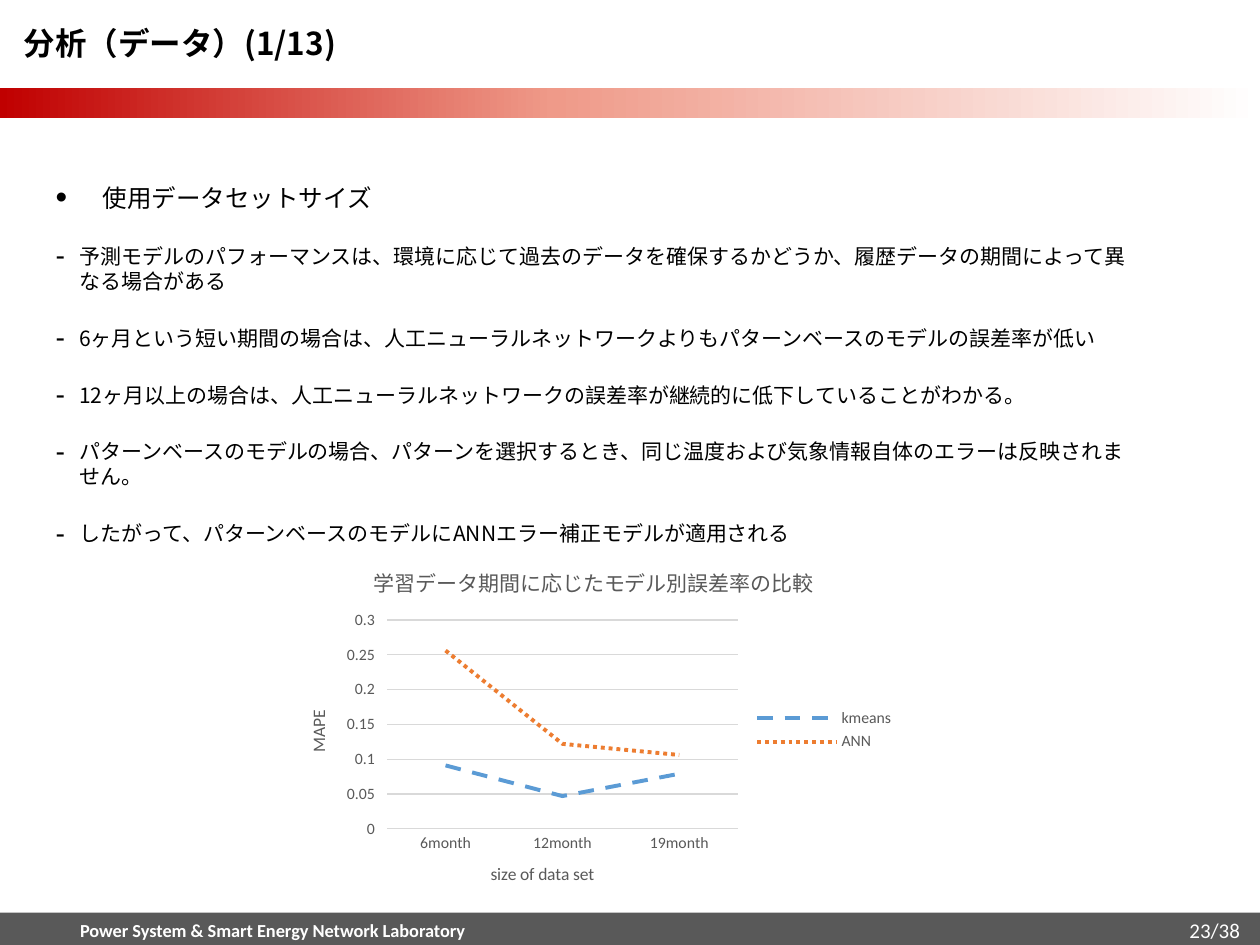
from copy import deepcopy
from dataclasses import dataclass

from pptx import Presentation
from pptx import util as u
from pptx.chart.data import CategoryChartData
from pptx.dml.color import RGBColor
from pptx.enum import chart as ch
from pptx.enum import dml, shapes, text
from pptx.oxml import parse_xml
from pptx.oxml.ns import nsdecls, qn


@dataclass(frozen=True)
class Theme:
    latin: str = "Calibri"
    cjk: str = "Noto Sans CJK KR"
    black: str = "000000"
    white: str = "FFFFFF"
    footer: str = "595959"
    chart_text: str = "595959"
    grid: str = "D9D9D9"
    band: tuple = ((0, "C00000"), (0.44, "EF9A89"), (1, "FFFFFF"))
    title: float = 18
    heading: float = 14
    body: float = 12
    lab: float = 10.5
    axis_title: float = 10
    axis: float = 9


@dataclass(frozen=True)
class Box:
    left: float
    top: float
    width: float
    height: float

    def lengths(self) -> tuple:
        return tuple(u.Cm(n) for n in (self.left, self.top, self.width, self.height))


@dataclass(frozen=True)
class Bullet:
    words: str
    mark: str = "-"
    indent: float = 0.48
    size: float = Theme.body
    font: str = Theme.cjk


@dataclass(frozen=True)
class Line:
    name: str
    values: tuple
    color: str
    dash: dml.MSO_LINE


THEME = Theme()
BULLETS = (
    Bullet("使用データセットサイズ\u3000".rstrip(), "•", 0.95, THEME.heading, THEME.latin),
    Bullet("予測モデルのパフォーマンスは、環境に応じて過去のデータを確保するかどうか、履歴データの期間によって異なる場合がある"),
    Bullet("6ヶ月という短い期間の場合は、人工ニューラルネットワークよりもパターンベースのモデルの誤差率が低い"),
    Bullet("12ヶ月以上の場合は、人工ニューラルネットワークの誤差率が継続的に低下していることがわかる。"),
    Bullet("パターンベースのモデルの場合、パターンを選択するとき、同じ温度および気象情報自体のエラーは反映されません。"),
    Bullet("したがって、パターンベースのモデルにANNエラー補正モデルが適用される"),
)
MONTHS = ("6month", "12month", "19month")
LINES = (
    Line("kmeans", (0.091, 0.047, 0.079), "5B9BD5", dml.MSO_LINE.DASH),
    Line("ANN", (0.256, 0.122, 0.106), "ED7D31", dml.MSO_LINE.ROUND_DOT),
)


def set_font(font, size: float, color: str, name: str = THEME.latin, bold: bool = False) -> None:
    font.size, font.bold, font.name = u.Pt(size), bold, name
    font.color.rgb = RGBColor.from_string(color)


def set_frame(frame, anchor, side: float = 0.18, edge: float = 0.1) -> None:
    frame.word_wrap = True
    frame.auto_size = text.MSO_AUTO_SIZE.NONE
    frame.vertical_anchor = anchor
    frame.margin_left = frame.margin_right = u.Cm(side)
    frame.margin_top = frame.margin_bottom = u.Cm(edge)


def add_bar(page, box: Box):
    bar = page.shapes.add_shape(shapes.MSO_SHAPE.RECTANGLE, *box.lengths())
    bar.shadow.inherit = False
    bar.line.fill.background()
    return bar


def add_band(page, box: Box) -> None:
    """Draw the bar whose colour fades through three stops."""
    fill = add_bar(page, box).fill
    fill.gradient()
    fill.gradient_angle = 0
    first = fill.gradient_stops[0]._gs
    first.addnext(deepcopy(first))
    for stop, (position, color) in zip(fill.gradient_stops, THEME.band):
        stop.position = position
        stop.color.rgb = RGBColor.from_string(color)


def add_label(page, box: Box, words: str, size: float, align, bold: bool = False) -> None:
    frame = page.shapes.add_textbox(*box.lengths()).text_frame
    set_frame(frame, text.MSO_ANCHOR.MIDDLE, 0.25, 0.05)
    para = frame.paragraphs[0]
    para.text, para.alignment = words, align
    set_font(para.font, size, THEME.white, bold=bold)


def set_title(page, box: Box, words: str) -> None:
    title = page.shapes.title
    title.left, title.top, title.width, title.height = box.lengths()
    set_frame(title.text_frame, text.MSO_ANCHOR.MIDDLE)
    para = title.text_frame.paragraphs[0]
    para.text, para.alignment, para.line_spacing = words, text.PP_ALIGN.LEFT, 0.9
    set_font(para.font, THEME.title, THEME.black, THEME.cjk, True)


def add_bullets(page, box: Box, bullets: tuple) -> None:
    frame = page.shapes.add_textbox(*box.lengths()).text_frame
    set_frame(frame, text.MSO_ANCHOR.TOP)
    for index, bullet in enumerate(bullets):
        para = frame.add_paragraph() if index else frame.paragraphs[0]
        para.text, para.space_before = bullet.words, u.Pt(18)
        props = para._p.get_or_add_pPr()
        props.set("marL", str(u.Cm(bullet.indent)))
        props.set("indent", str(-u.Cm(bullet.indent)))
        for tag in ('buSzPct {} val="135000"', 'buFont {} typeface="Arial"',
                    f'buChar {{}} char="{bullet.mark}"'):
            props.append(parse_xml(f"<a:{tag.format(nsdecls('a'))}/>"))
        set_font(para.font, bullet.size, THEME.black, bullet.font)


def set_chart_title(owner, words: str, size: float) -> None:
    para = owner.text_frame.paragraphs[0]
    para.text = words
    set_font(para.font, size, THEME.chart_text)


def style_axis(axis, title: str, tick) -> None:
    set_chart_title(axis.axis_title, title, THEME.axis_title)
    set_font(axis.tick_labels.font, THEME.axis, THEME.chart_text)
    axis.major_tick_mark, axis.minor_tick_mark = tick, ch.XL_TICK_MARK.NONE


def set_grid_line(line) -> None:
    line.color.rgb = RGBColor.from_string(THEME.grid)
    line.width = u.Pt(0.75)


def place_plot(chart, x: float, y: float, w: float, h: float) -> None:
    """Fix the inner plot area as fractions of the chart."""
    area = chart._chartSpace.chart.plotArea
    for old in area.findall(qn("c:layout")):
        area.remove(old)
    sizes = "".join(f'<c:{tag} val="{val}"/>' for tag, val in zip("xywh", (x, y, w, h)))
    area.insert(0, parse_xml(
        f'<c:layout {nsdecls("c")}><c:manualLayout><c:layoutTarget val="inner"/>'
        f'<c:xMode val="edge"/><c:yMode val="edge"/>{sizes}</c:manualLayout></c:layout>'))


def add_error_chart(page, box: Box) -> None:
    data = CategoryChartData()
    data.categories = MONTHS
    for line in LINES:
        data.add_series(line.name, line.values)
    chart = page.shapes.add_chart(ch.XL_CHART_TYPE.LINE, *box.lengths(), data).chart
    set_font(chart.font, THEME.axis_title, THEME.black)
    set_chart_title(chart.chart_title, "学習データ期間に応じたモデル別誤差率の比較", THEME.body)
    chart.has_legend = True
    chart.legend.position = ch.XL_LEGEND_POSITION.RIGHT
    chart.legend.include_in_layout = False
    set_font(chart.legend.font, THEME.axis, THEME.chart_text)
    style_axis(chart.category_axis, "size of data set", ch.XL_TICK_MARK.NONE)
    style_axis(chart.value_axis, "MAPE", ch.XL_TICK_MARK.OUTSIDE)
    set_grid_line(chart.category_axis.format.line)
    set_grid_line(chart.value_axis.major_gridlines.format.line)
    chart.value_axis.format.line.fill.background()
    chart.value_axis.minimum_scale, chart.value_axis.maximum_scale = 0, 0.3
    chart.value_axis.major_unit = 0.05
    chart.plots[0].vary_by_categories = False
    for series, line in zip(chart.plots[0].series, LINES):
        series.smooth = False
        series.marker.style = ch.XL_MARKER_STYLE.NONE
        series.format.line.color.rgb = RGBColor.from_string(line.color)
        series.format.line.width = u.Pt(2.25)
        series.format.line.dash_style = line.dash
    place_plot(chart, 0.17, 0.2, 0.56, 0.57)


def main() -> None:
    deck = Presentation()
    deck.slide_width, deck.slide_height = u.Cm(25.4), u.Cm(19.05)
    page = deck.slides.add_slide(deck.slide_layouts[5])
    footer = add_bar(page, Box(0, 18.4, 25.4, 0.65))
    footer.fill.solid()
    footer.fill.fore_color.rgb = RGBColor.from_string(THEME.footer)
    add_band(page, Box(0, 1.78, 25.4, 0.6))
    add_label(page, Box(-0.2, 18.47, 11.4, 0.58), "Power System & Smart Energy Network Laboratory",
              THEME.lab, text.PP_ALIGN.CENTER, True)
    add_bullets(page, Box(0.94, 3.58, 22.12, 12.55), BULLETS)
    add_error_chart(page, Box(5.66, 11.02, 12.62, 7.39))
    set_title(page, Box(0.3, 0.5, 12.06, 0.81), "分析（データ）(1/13)")
    add_label(page, Box(19.53, 18.24, 5.72, 1.02), "23/38", THEME.body, text.PP_ALIGN.RIGHT)
    deck.save("out.pptx")


if __name__ == "__main__":
    main()
